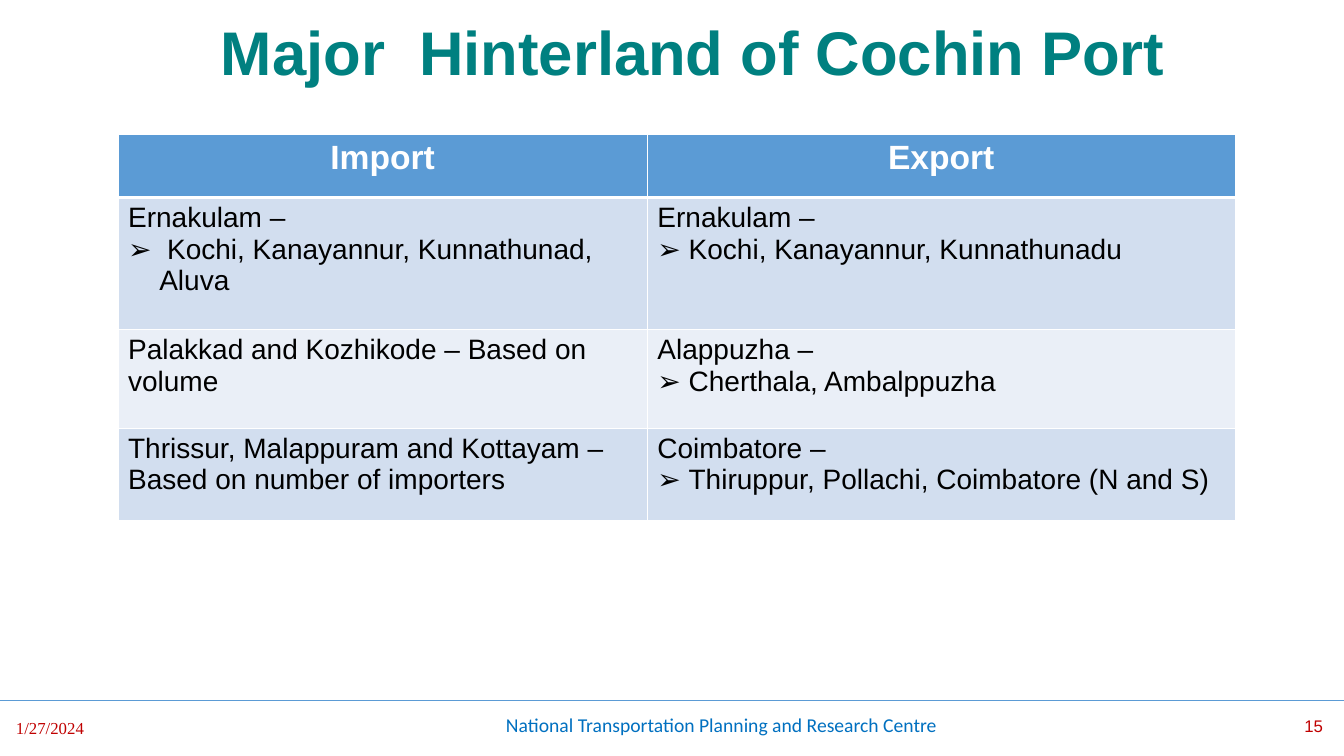
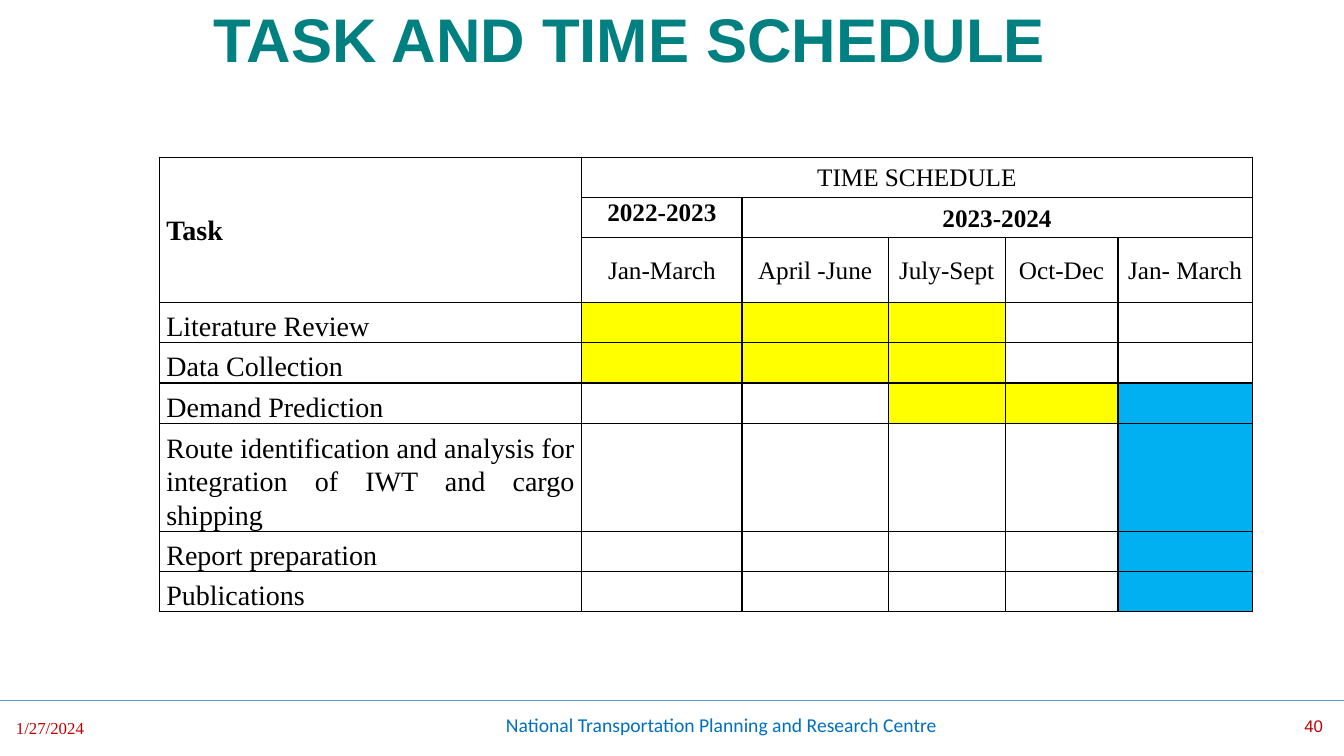
from lxml.etree import SubElement
from pptx import Presentation
from pptx.dml.color import RGBColor
from pptx.enum.shapes import MSO_CONNECTOR
from pptx.enum.text import MSO_ANCHOR, PP_ALIGN
from pptx.oxml.ns import qn
from pptx.util import Inches, Pt

WIDTH, HEIGHT = 13.33, 7.5
TEAL, RED, BLUE, ACCENT = "008080", "C00000", "0070C0", "5B9BD5"
BLACK, WHITE, DONE, PLANNED = "000000", "FFFFFF", "FFFF00", "00B0F0"
BANDS = ("D2DEEF", "EAEFF7")
SANS, SERIF, FOOTER_FONT = "Arial", "Times New Roman", "Calibri"

DATE = "1/27/2024"
CENTRE = "National Transportation Planning and Research Centre"

HINTERLAND_HEADERS = ("Import", "Export")
HINTERLAND = [
    (("Ernakulam –", " Kochi, Kanayannur, Kunnathunad, Aluva"),
     ("Ernakulam –", "Kochi, Kanayannur, Kunnathunadu")),
    (("Palakkad and Kozhikode – Based on volume",),
     ("Alappuzha –", "Cherthala, Ambalppuzha")),
    (("Thrissur, Malappuram and Kottayam – Based on number of importers",),
     ("Coimbatore –", "Thiruppur, Pollachi, Coimbatore (N and S)")),
]
HINTERLAND_COLUMNS = (5.25, 5.83)
HINTERLAND_ROWS = (0.63, 1.31, 0.98, 0.92)

QUARTERS = ("Jan-March", "April -June", "July-Sept", "Oct-Dec", "Jan- March")
SCHEDULE_HEADERS = [
    (0, 0, 2, 0, "Task", 20, True, PP_ALIGN.JUSTIFY, MSO_ANCHOR.MIDDLE),
    (0, 1, 0, 5, "TIME SCHEDULE", 18, False, PP_ALIGN.CENTER, MSO_ANCHOR.MIDDLE),
    (1, 1, 1, 1, "2022-2023", 18, True, PP_ALIGN.CENTER, MSO_ANCHOR.TOP),
    (1, 2, 1, 5, "2023-2024", 18, True, PP_ALIGN.CENTER, MSO_ANCHOR.MIDDLE),
]
TASKS = [
    ("Literature Review", {1: DONE, 2: DONE, 3: DONE}),
    ("Data Collection", {1: DONE, 2: DONE, 3: DONE}),
    ("Demand Prediction", {3: DONE, 4: DONE, 5: PLANNED}),
    ("Route identification and analysis for integration of IWT and cargo shipping",
     {5: PLANNED}),
    ("Report preparation", {5: PLANNED}),
    ("Publications", {5: PLANNED}),
]
SCHEDULE_COLUMNS = (4.19, 1.59, 1.45, 1.16, 1.12, 1.33)
SCHEDULE_ROWS = (0.4, 0.4, 0.64, 0.4, 0.4, 0.4, 1.05, 0.4, 0.4)


def color(value):
    return RGBColor.from_string(value)


def format_paragraph(paragraph, size, font, ink, bold=False, align=PP_ALIGN.LEFT):
    paragraph.alignment = align
    for run in paragraph.runs:
        run.font.size = Pt(size)
        run.font.name = font
        run.font.bold = bold
        run.font.color.rgb = color(ink)


def add_label(slide, text, box, size, font, ink, align=PP_ALIGN.LEFT):
    frame = slide.shapes.add_textbox(*map(Inches, box)).text_frame
    frame.word_wrap = True
    frame.text = text
    format_paragraph(frame.paragraphs[0], size, font, ink, align=align)


def add_slide(presentation, title, title_box, number):
    slide = presentation.slides.add_slide(presentation.slide_layouts[5])
    heading = slide.shapes.title
    heading.left, heading.top, heading.width, heading.height = map(Inches, title_box)
    heading.text_frame.text = title
    heading.text_frame.vertical_anchor = MSO_ANCHOR.MIDDLE
    paragraph = heading.text_frame.paragraphs[0]
    paragraph.line_spacing = 0.9
    format_paragraph(paragraph, 44, SANS, TEAL, True, PP_ALIGN.CENTER)

    rule = slide.shapes.add_connector(
        MSO_CONNECTOR.STRAIGHT, 0, Inches(6.95), Inches(WIDTH), Inches(6.95))
    rule.line.color.rgb = color(ACCENT)
    rule.line.width = Pt(0.5)
    SubElement(rule.element.spPr, qn("a:effectLst"))

    add_label(slide, DATE, (0.06, 7.07, 1.37, 0.4), 12, SERIF, RED)
    add_label(slide, CENTRE, (4.92, 7.02, 5.92, 0.4), 14, FOOTER_FONT, BLUE)
    add_label(slide, str(number), (10.22, 7.05, 3, 0.4), 12, SANS, RED, PP_ALIGN.RIGHT)
    return slide


def add_grid(slide, left, top, columns, rows):
    table = slide.shapes.add_table(
        len(rows), len(columns), Inches(left), Inches(top),
        Inches(sum(columns)), Inches(sum(rows))).table
    for column, width in zip(table.columns, columns):
        column.width = Inches(width)
    for row, height in zip(table.rows, rows):
        row.height = Inches(height)
    return table


def style_cell(cell, fill, border, top=1, bottom=1):
    properties = cell._tc.get_or_add_tcPr()
    for side, width in (("L", 1), ("R", 1), ("T", top), ("B", bottom)):
        line = SubElement(properties, qn(f"a:ln{side}"), w=str(Pt(width)))
        SubElement(SubElement(line, qn("a:solidFill")), qn("a:srgbClr"), val=border)
    cell.fill.solid()
    cell.fill.fore_color.rgb = color(fill)


def add_bullet(paragraph):
    properties = paragraph._p.get_or_add_pPr()
    properties.set("marL", str(Inches(0.31)))
    properties.set("indent", str(-Inches(0.31)))
    SubElement(properties, qn("a:buFont"), typeface=SANS)
    SubElement(properties, qn("a:buChar"), char="➢")


def add_hinterland_table(slide):
    table = add_grid(slide, 1.17, 1.33, HINTERLAND_COLUMNS, HINTERLAND_ROWS)
    for column, header in enumerate(HINTERLAND_HEADERS):
        cell = table.cell(0, column)
        cell.text_frame.text = header
        style_cell(cell, ACCENT, WHITE, bottom=3)
        format_paragraph(cell.text_frame.paragraphs[0], 24, SANS, WHITE, True,
                         PP_ALIGN.CENTER)
    for row, entries in enumerate(HINTERLAND, 1):
        for column, lines in enumerate(entries):
            cell = table.cell(row, column)
            cell.text_frame.text = "\n".join(lines)
            style_cell(cell, BANDS[(row - 1) % 2], WHITE, top=3 if row == 1 else 1)
            for index, paragraph in enumerate(cell.text_frame.paragraphs):
                if index:
                    add_bullet(paragraph)
                format_paragraph(paragraph, 20, SANS, BLACK)


def fill_schedule_cell(cell, text, size, bold, align, anchor):
    cell.text_frame.text = text
    cell.vertical_anchor = anchor
    paragraph = cell.text_frame.paragraphs[0]
    paragraph.line_spacing = 1.07
    format_paragraph(paragraph, size, SERIF, BLACK, bold, align)


def add_schedule_table(slide):
    table = add_grid(slide, 1.58, 1.56, SCHEDULE_COLUMNS, SCHEDULE_ROWS)
    first_task = len(SCHEDULE_ROWS) - len(TASKS)
    for row in range(len(SCHEDULE_ROWS)):
        fills = TASKS[row - first_task][1] if row >= first_task else {}
        for column in range(len(SCHEDULE_COLUMNS)):
            cell = table.cell(row, column)
            cell.margin_left = cell.margin_right = Inches(0.07)
            cell.margin_top = cell.margin_bottom = 0
            style_cell(cell, fills.get(column, WHITE), BLACK)
    for row, column, last_row, last_column, *content in SCHEDULE_HEADERS:
        cell = table.cell(row, column)
        if (row, column) != (last_row, last_column):
            cell.merge(table.cell(last_row, last_column))
        fill_schedule_cell(cell, *content)
    for column, quarter in enumerate(QUARTERS, 1):
        fill_schedule_cell(table.cell(2, column), quarter, 18, False,
                           PP_ALIGN.CENTER, MSO_ANCHOR.MIDDLE)
    for row, (task, _) in enumerate(TASKS, first_task):
        fill_schedule_cell(table.cell(row, 0), task, 20, False,
                           PP_ALIGN.JUSTIFY, MSO_ANCHOR.BOTTOM)


def main():
    presentation = Presentation()
    presentation.slide_width = Inches(WIDTH)
    presentation.slide_height = Inches(HEIGHT)
    add_hinterland_table(add_slide(
        presentation, "Major  Hinterland of Cochin Port", (0.92, 0.03, 11.92, 1.04), 15))
    add_schedule_table(add_slide(
        presentation, "TASK AND TIME SCHEDULE", (0.5, -0.3, 11.5, 1.45), 40))
    presentation.save("out.pptx")


if __name__ == "__main__":
    main()
